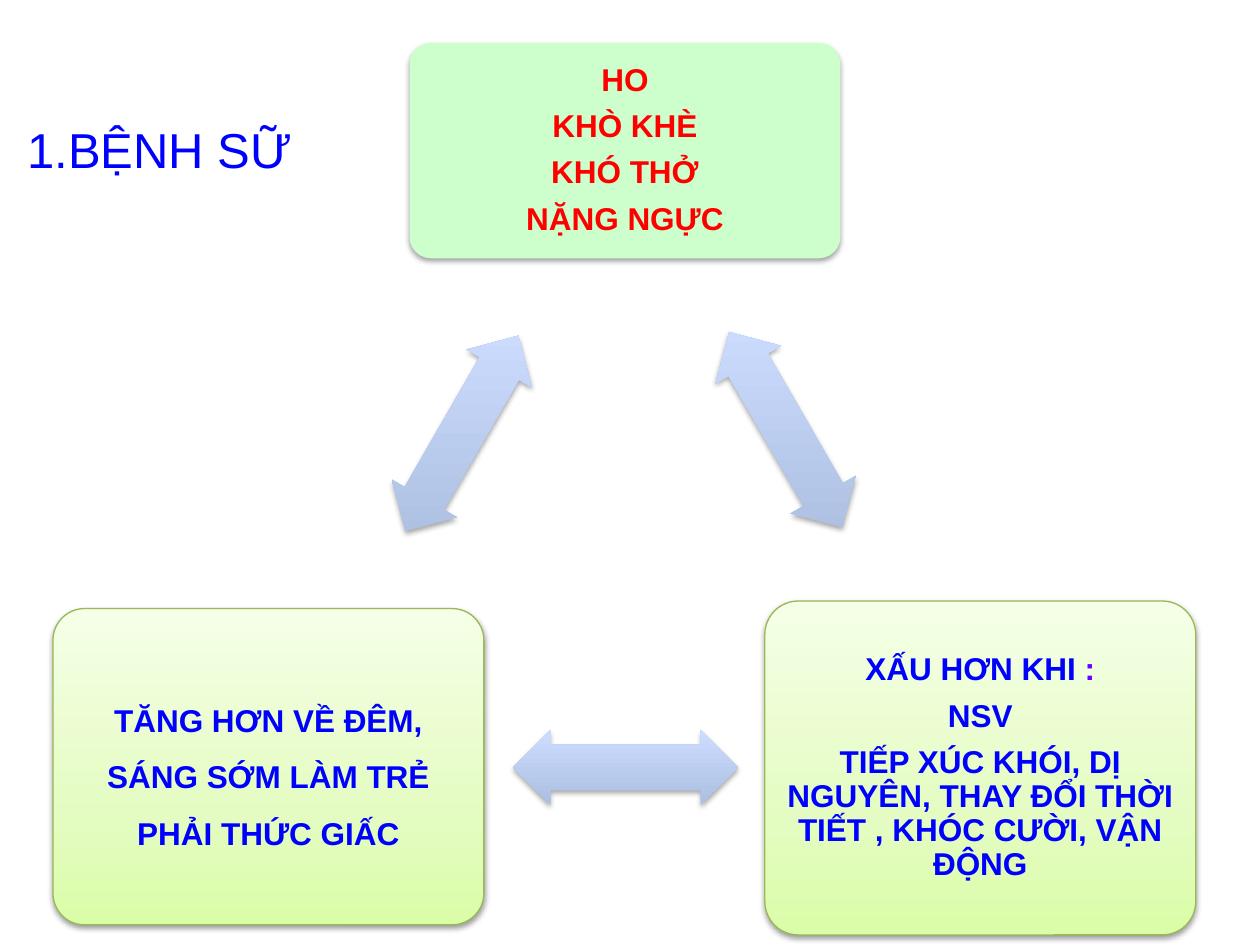
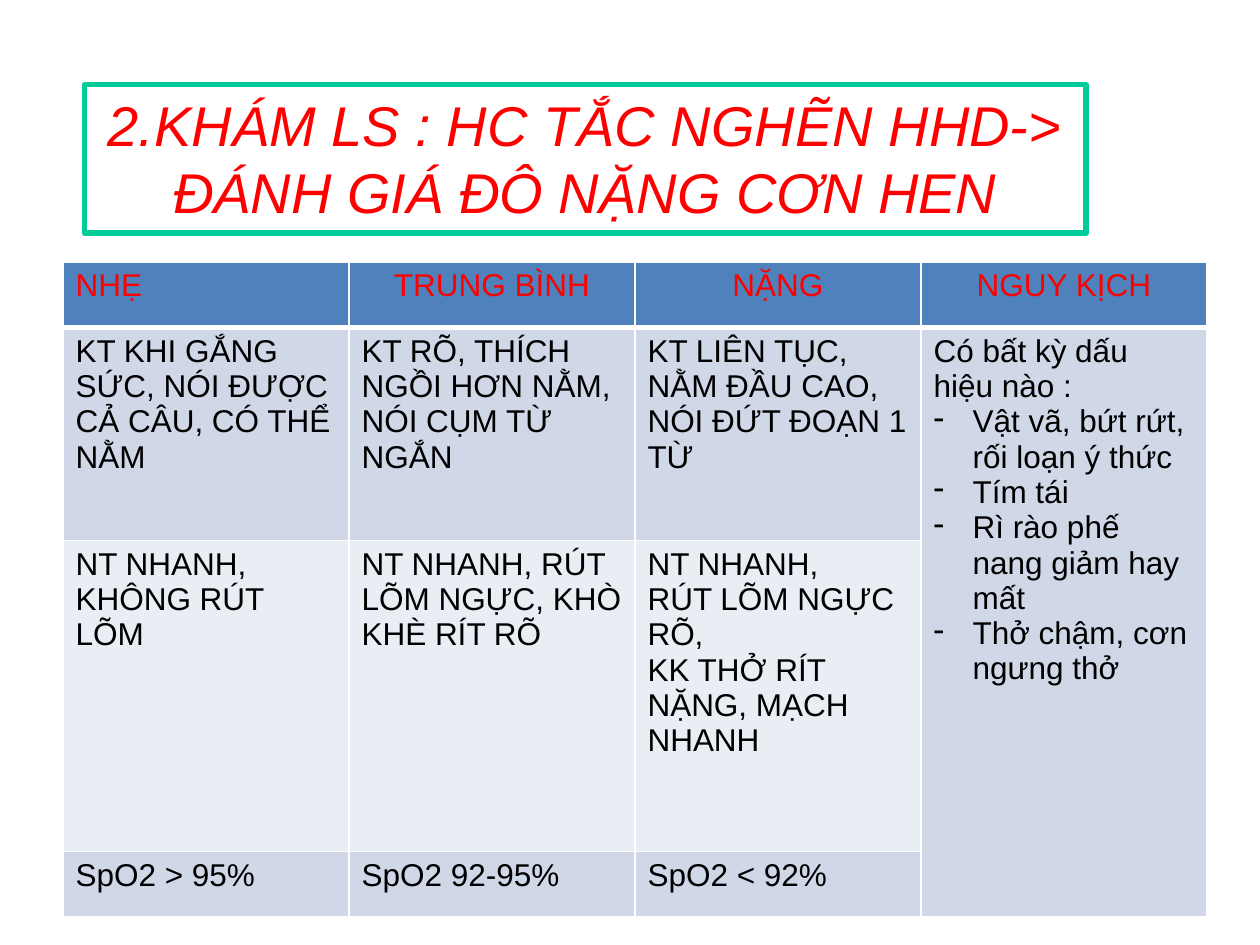
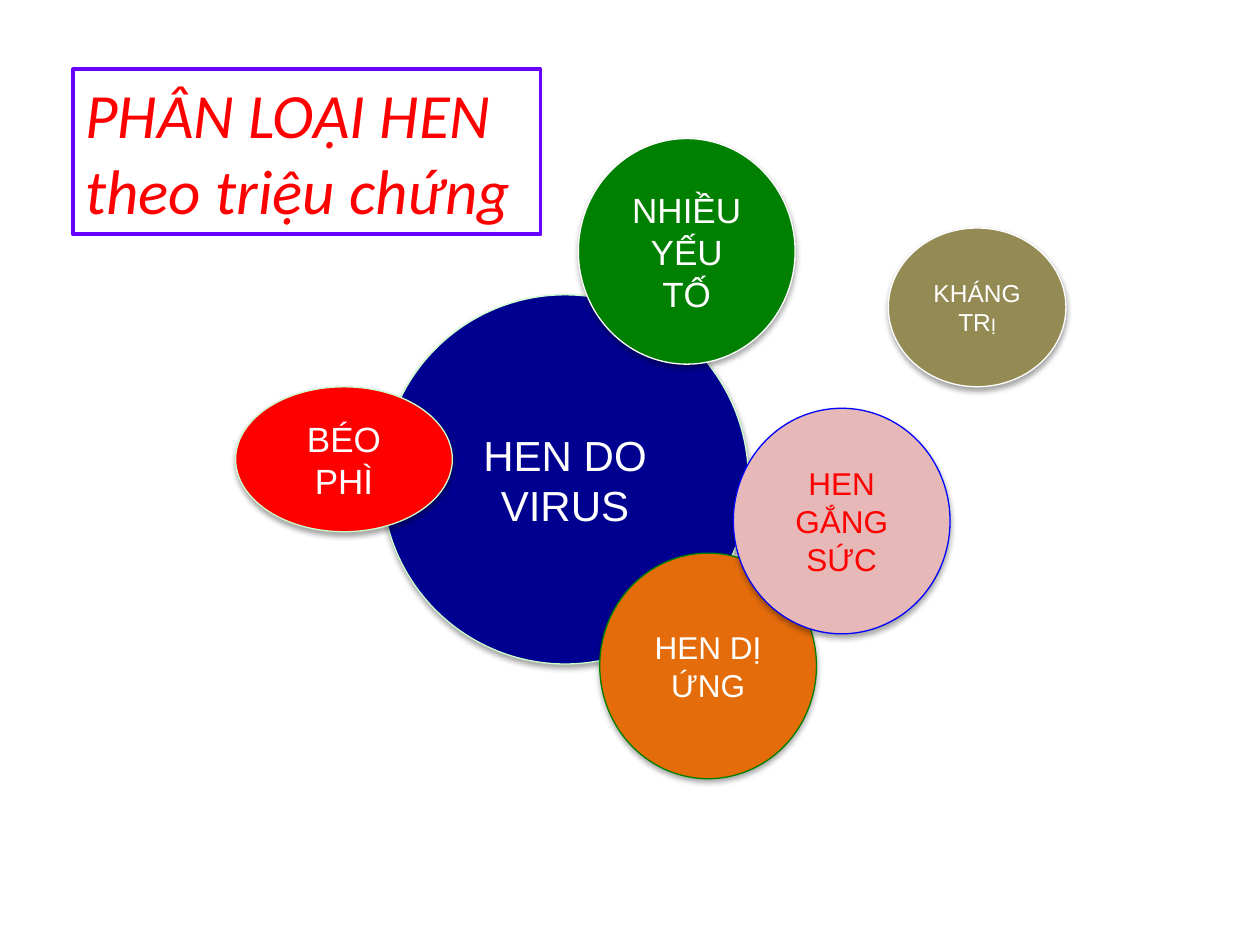
import dataclasses

import lxml.etree
import pptx
import pptx.dml.color
import pptx.enum.shapes
import pptx.enum.text
import pptx.oxml.ns
import pptx.util

PX = 9144  # EMU per px, 100 px to the inch
KIND = pptx.enum.shapes.MSO_SHAPE
LEFT = pptx.enum.text.PP_ALIGN.LEFT
MID = pptx.enum.text.PP_ALIGN.CENTER


@dataclasses.dataclass(frozen=True)
class Theme:
    # Fonts
    font: str = "Arial"
    alt: str = "Calibri"
    # Type sizes
    tiny: int = 11
    small: int = 14
    body: int = 18
    label: int = 20
    core: int = 24
    head: int = 28
    title: int = 32
    big: int = 36
    # Colours
    white: str = "FFFFFF"
    black: str = "000000"
    red: str = "FF0000"
    blue: str = "0000FF"
    violet: str = "6600FF"
    mint: str = "CCFFCC"
    teal: str = "00CC99"
    navy: str = "000090"
    green: str = "008000"
    olive: str = "948A54"
    orange: str = "E46C0A"
    pink: str = "E6B9B8"
    edge: str = "98B955"
    top: str = "4F81BD"
    bands: tuple = ("D0D8E8", "E9EDF4")
    # Gradients, from the bottom up: (percent, colour)
    lime: tuple = ((0, "DAFDA7"), (35, "E4FCC2"), (100, "F5FFE7"))
    sky: tuple = ((0, "ADBFE1"), (100, "CCDDFF"))


def rgb(code):
    return pptx.dml.color.RGBColor.from_string(code)


def node(up, tag, **attrs):
    """Append a DrawingML element to up."""
    return lxml.etree.SubElement(
        up, pptx.oxml.ns.qn("a:" + tag), {k: str(v) for k, v in attrs.items()})


class Deck:
    def __init__(self, theme):
        self.theme = theme
        self.prs = pptx.Presentation()
        self.prs.slide_width = 1000 * PX
        self.prs.slide_height = 750 * PX
        self.slide = None

    def page(self):
        self.slide = self.prs.slides.add_slide(self.prs.slide_layouts[6])

    def text(self, frame, lines, size, color, align=MID, font=None,
             italic=False, bold=False, space=None, after=None):
        """Each line is a text or a list of runs; a run is a text or
        (text, changes)."""
        for i, line in enumerate(lines):
            para = frame.paragraphs[0] if i == 0 else frame.add_paragraph()
            para.alignment = align
            if space:
                para.line_spacing = space
            if after:
                para.space_after = pptx.util.Pt(after)
            for part in [line] if isinstance(line, str) else line:
                words, diff = (part, {}) if isinstance(part, str) else part
                run = para.add_run()
                run.text = words
                run.font.name = diff.get("font", font or self.theme.font)
                run.font.size = pptx.util.Pt(diff.get("size", size))
                run.font.color.rgb = rgb(diff.get("color", color))
                run.font.bold = bold
                run.font.italic = italic

    def shape(self, kind, box, fill=None, line=None, width=0.75, adj=(),
              turn=0, shade=None):
        item = self.slide.shapes.add_shape(kind, *(v * PX for v in box))
        item.rotation = turn
        for i, value in enumerate(adj):
            item.adjustments[i] = value
        if isinstance(fill, tuple):
            self.blend(item, fill)
        elif fill:
            item.fill.solid()
            item.fill.fore_color.rgb = rgb(fill)
        else:
            item.fill.background()
        if line:
            item.line.color.rgb = rgb(line)
            item.line.width = pptx.util.Pt(width)
        else:
            item.line.fill.background()
        item.shadow.inherit = False
        if shade:
            self.shade(item, *shade)
        return item

    def blend(self, item, stops):
        """Vertical gradient that stays upright when the shape turns."""
        props = item._element.spPr
        grad = node(props, "gradFill", rotWithShape=0)
        props.insert(2, grad)
        group = node(grad, "gsLst")
        for pos, color in stops:
            node(node(group, "gs", pos=pos * 1000), "srgbClr", val=color)
        node(grad, "lin", ang=270 * 60000, scaled=0)

    def shade(self, item, alpha, dist):
        effects = item._element.spPr.find(pptx.oxml.ns.qn("a:effectLst"))
        outer = node(effects, "outerShdw", blurRad=40000, dist=dist,
                     dir=90 * 60000, rotWithShape=0)
        node(node(outer, "srgbClr", val=self.theme.black),
             "alpha", val=alpha * 1000)

    def card(self, box, lines, color, fill, line=None, shade=(35, 23000),
             space=0.9):
        item = self.shape(KIND.ROUNDED_RECTANGLE, box, fill, line,
                          adj=(0.1,), shade=shade)
        frame = item.text_frame
        frame.word_wrap = True
        frame.vertical_anchor = pptx.enum.text.MSO_ANCHOR.MIDDLE
        frame.margin_left = frame.margin_right = 7 * PX
        frame.margin_top = frame.margin_bottom = 7 * PX
        self.text(frame, lines, self.theme.body, color, bold=True,
                  space=space, after=7)

    def arrow(self, x, y, turn):
        self.shape(KIND.LEFT_RIGHT_ARROW, (x, y, 179, 60), self.theme.sky,
                   adj=(0.6, 0.5), turn=turn, shade=(35, 23000))

    def ball(self, box, lines, size, fill, line, color=None):
        item = self.shape(KIND.OVAL, box, fill, line, shade=(35, 23000))
        frame = item.text_frame
        frame.word_wrap = True
        frame.vertical_anchor = pptx.enum.text.MSO_ANCHOR.MIDDLE
        self.text(frame, lines, size, color or self.theme.white)

    def frame(self, box, lines, size, line, width, wrap, **style):
        """Framed slide title in red italics."""
        item = self.shape(KIND.RECTANGLE, box, line=line, width=width)
        item.text_frame.word_wrap = wrap
        item.text_frame.vertical_anchor = pptx.enum.text.MSO_ANCHOR.TOP
        self.text(item.text_frame, lines, size, self.theme.red,
                  italic=True, **style)

    def label(self, box, words, size, color):
        item = self.slide.shapes.add_textbox(*(v * PX for v in box))
        item.text_frame.word_wrap = False
        self.text(item.text_frame, [words], size, color, LEFT)

    def table(self, x, y, wide, highs, rows):
        """Rows of cells; a cell is a list of lines, None is merged upward."""
        cols = len(rows[0])
        grid = self.slide.shapes.add_table(
            len(rows), cols, x * PX, y * PX,
            wide * cols * PX, sum(highs) * PX).table
        grid.first_row = grid.horz_banding = False
        for col in grid.columns:
            col.width = wide * PX
        for r, (high, row) in enumerate(zip(highs, rows)):
            grid.rows[r].height = high * PX
            for c, lines in enumerate(row):
                self.cell(grid.cell(r, c), lines, r, c)
        return grid

    def cell(self, cell, lines, r, c):
        look = self.theme
        self.rule(cell, 3 if r == 0 else 1)
        cell.fill.solid()
        cell.fill.fore_color.rgb = rgb(
            look.bands[(r - 1) % 2] if r else look.top)
        if lines:
            self.text(cell.text_frame, lines, look.body,
                      look.black if r else look.red,
                      MID if r == 0 and c else LEFT)

    def rule(self, cell, base):
        props = cell._tc.get_or_add_tcPr()
        for side, width in zip("LRTB", (1, 1, 1, base)):
            edge = node(props, "ln" + side, w=width * 12700)
            node(node(edge, "solidFill"), "srgbClr", val=self.theme.white)

    def dash(self, paras):
        for para in paras:
            props = para._p.get_or_add_pPr()
            props.set("marL", str(31 * PX))
            props.set("indent", str(-31 * PX))
            node(props, "buChar", char="-")


def story(deck):
    look = deck.theme
    deck.page()
    # Symptoms at the top, triggers and timing below
    deck.card((325, 34, 342, 171),
              ["HO", "KHÒ KHÈ", "KHÓ THỞ", "NẶNG NGỰC"], look.red, look.mint)
    deck.arrow(534, 311, 60)
    deck.card((607, 477, 342, 265),
              [["XẤU HƠN KHI ", (":", {"color": look.violet})], "NSV",
               "TIẾP XÚC KHÓI, DỊ NGUYÊN, THAY ĐỔI THỜI TIẾT , "
               "KHÓC CƯỜI, VẬN ĐỘNG"],
              look.blue, look.lime, look.edge, (38, 20000))
    deck.arrow(407, 579, 180)
    deck.card((42, 483, 342, 251),
              ["TĂNG HƠN VỀ ĐÊM, SÁNG SỚM LÀM TRẺ PHẢI THỨC GIẤC"],
              look.blue, look.lime, look.edge, (38, 20000), 1.5)
    deck.arrow(277, 314, 300)
    deck.label((12, 90, 233, 104), "1.BỆNH SỮ", look.head, look.blue)


def exam(deck):
    look = deck.theme
    deck.page()
    # Severity grid
    rows = [
        [["NHẸ"], ["TRUNG BÌNH"], ["NẶNG"], ["NGUY KỊCH"]],
        [["KT KHI GẮNG SỨC, NÓI ĐƯỢC CẢ CÂU, CÓ THỂ NẰM"],
         ["KT RÕ, THÍCH NGỒI HƠN NẰM, NÓI CỤM TỪ NGẮN"],
         ["KT LIÊN TỤC, NẰM ĐẦU CAO, NÓI ĐỨT ĐOẠN 1 TỪ"],
         ["Có bất kỳ dấu hiệu nào :", "Vật vã, bứt rứt, rối loạn ý thức",
          "Tím tái", "Rì rào phế nang giảm hay mất",
          "Thở chậm, cơn ngưng thở"]],
        [["NT NHANH, KHÔNG RÚT LÕM"],
         ["NT NHANH, RÚT LÕM NGỰC, KHÒ KHÈ RÍT RÕ"],
         ["NT NHANH,", "RÚT LÕM NGỰC RÕ,", "KK THỞ RÍT NẶNG, MẠCH NHANH"],
         None],
        [["SpO2 > 95%"], ["SpO2 92-95%"], ["SpO2 < 92%"], None],
    ]
    grid = deck.table(50, 208, 227, (52, 169, 247, 52), rows)
    signs = grid.cell(1, 3)
    signs.merge(grid.cell(3, 3))
    deck.dash(signs.text_frame.paragraphs[1:])
    # Title
    deck.frame((67, 67, 795, 118),
               ["2.KHÁM LS : HC TẮC NGHẼN HHD->", "ĐÁNH GIÁ ĐÔ NẶNG CƠN HEN"],
               look.title, look.teal, 3, False)


def types(deck):
    look = deck.theme
    deck.page()
    # Overlapping kinds of asthma, from back to front
    deck.ball((303, 234, 291, 293), ["HEN DO", "VIRUS"], look.core,
              look.navy, look.mint)
    deck.ball((459, 110, 172, 179), ["NHIỀU YẾU TỐ"], look.label,
              look.green, look.white)
    deck.ball((705, 181, 141, 126),
              [["KHÁNG TR", ("Ị", {"size": look.tiny, "font": look.alt})]],
              look.small, look.olive, look.white)
    deck.ball((476, 439, 172, 179), ["HEN DỊ ỨNG"], look.body,
              look.orange, look.green)
    deck.ball((582, 324, 172, 179), ["HEN GẮNG SỨC"], look.body,
              look.pink, look.blue, look.red)
    deck.ball((187, 307, 172, 115), ["BÉO PHÌ"], look.label,
              look.red, look.mint)
    # Title
    deck.frame((58, 55, 371, 131), ["PHÂN LOẠI HEN theo triệu chứng"],
               look.big, look.violet, 2.25, True, align=LEFT, font=look.alt)


def main():
    deck = Deck(Theme())
    story(deck)
    exam(deck)
    types(deck)
    deck.prs.save("out.pptx")


if __name__ == "__main__":
    main()
